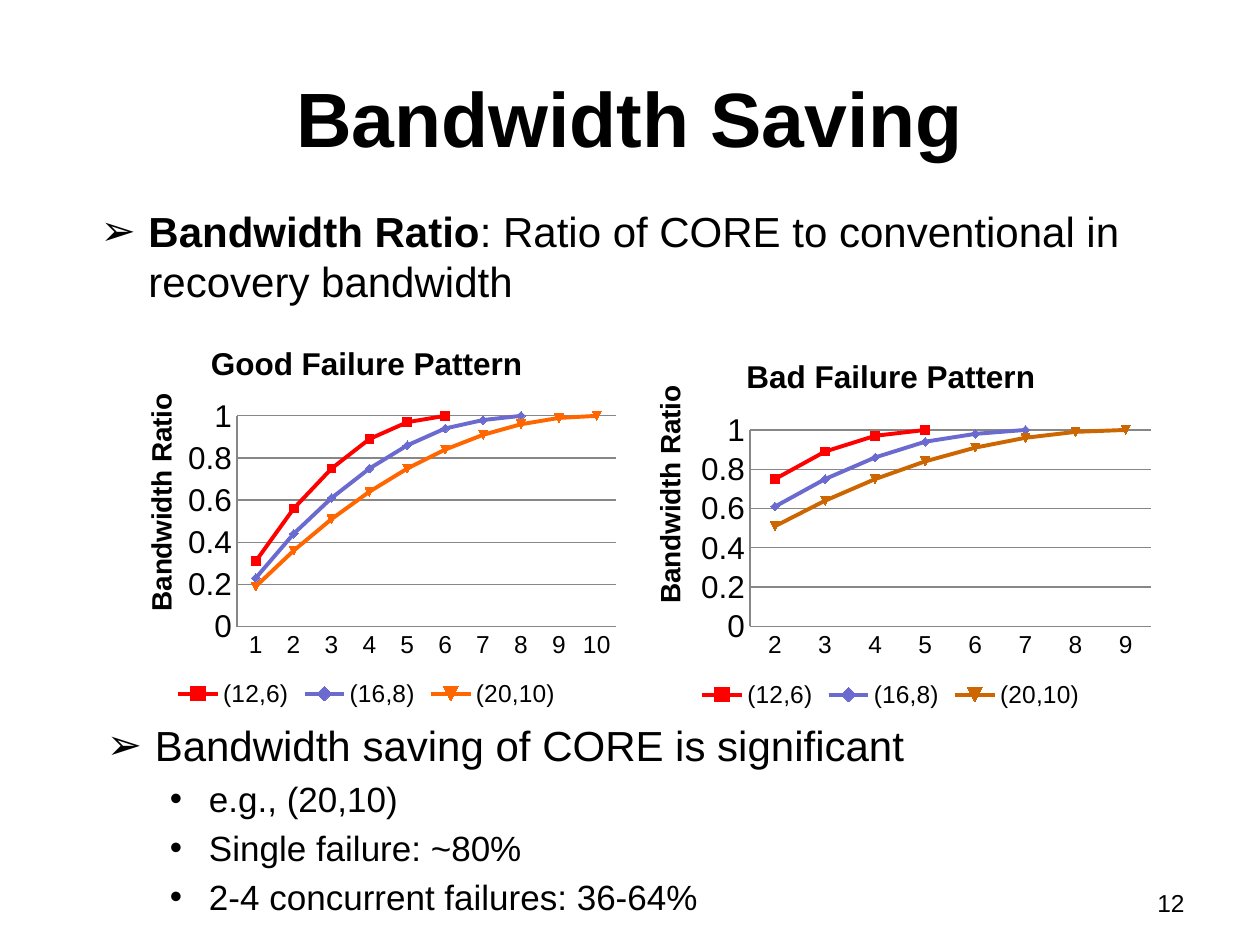
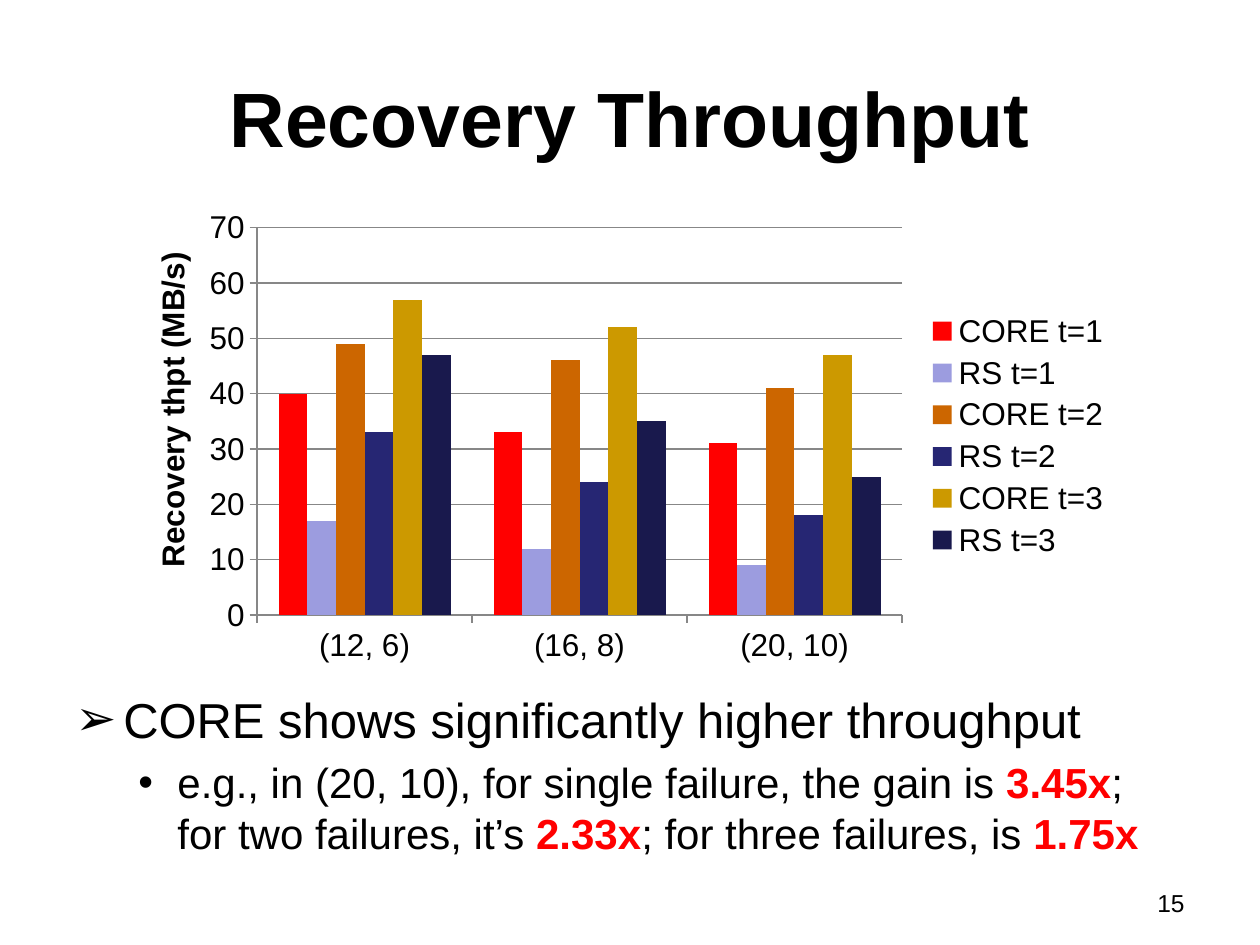
from dataclasses import dataclass

from lxml import etree
from pptx import Presentation
from pptx.chart.data import CategoryChartData
from pptx.dml.color import RGBColor
from pptx.enum.chart import XL_CHART_TYPE, XL_LEGEND_POSITION, XL_TICK_MARK
from pptx.enum.text import MSO_ANCHOR, PP_ALIGN
from pptx.oxml.ns import qn
from pptx.util import Inches, Pt

LINE = XL_CHART_TYPE.LINE_MARKERS
COLUMN = XL_CHART_TYPE.COLUMN_CLUSTERED
BOTTOM, RIGHT = XL_LEGEND_POSITION.BOTTOM, XL_LEGEND_POSITION.RIGHT
NO_TICK, OUTSIDE = XL_TICK_MARK.NONE, XL_TICK_MARK.OUTSIDE
MIDDLE, TOP = MSO_ANCHOR.MIDDLE, MSO_ANCHOR.TOP
CENTER, ALIGN_RIGHT, LEFT = PP_ALIGN.CENTER, PP_ALIGN.RIGHT, PP_ALIGN.LEFT


@dataclass(frozen=True)
class Theme:
    font: str = "Arial"
    text: str = "000000"
    accent: str = "FF0000"
    grid: str = "878787"
    violet: str = "6B6BCF"
    orange: str = "FF6600"
    brown: str = "CC6600"
    lilac: str = "9C9CDF"
    navy: str = "262673"
    gold: str = "CC9900"
    midnight: str = "19194D"
    title: int = 44
    chart: int = 18
    axis_title: int = 16
    small: int = 14
    marker: int = 5
    line: float = 2.25
    hairline: float = 0.75


THEME = Theme()
WIDTH, HEIGHT = 10, 7.5
TITLE_BOX = (0.05, 0.04, 0.9, 1 / 6)
NUMBER_BOX = (0.717, 14 / 15, 0.233, 0.047)

BULLETS = (
    dict(mark="➢", margin=0.38, hang=0.38, before=50),
    dict(mark="•", margin=0.81, hang=0.31, before=20),
)

GOOD = dict(
    kind=LINE, box=(0.085, 0.341, 0.412, 0.413), title="Good Failure Pattern",
    axis="Bandwidth Ratio", axis_at=(0.06, 0.17), plot=(0.25, 0.24, 0.73, 0.54),
    categories=[str(count) for count in range(1, 11)],
    series=[
        ("(12,6)", THEME.accent, [0.31, 0.56, 0.75, 0.89, 0.97, 1]),
        ("(16,8)", THEME.violet, [0.23, 0.44, 0.61, 0.75, 0.86, 0.94, 0.98, 1]),
        ("(20,10)", THEME.orange,
         [0.19, 0.36, 0.51, 0.64, 0.75, 0.84, 0.91, 0.96, 0.99, 1]),
    ],
)
BAD = dict(
    kind=LINE, box=(0.492, 0.355, 0.43, 0.4), title="Bad Failure Pattern",
    axis="Bandwidth Ratio", axis_at=(0.05, 0.12), plot=(0.24, 0.25, 0.74, 0.52),
    categories=[str(count) for count in range(2, 10)],
    series=[
        ("(12,6)", THEME.accent, [0.75, 0.89, 0.97, 1]),
        ("(16,8)", THEME.violet, [0.61, 0.75, 0.86, 0.94, 0.98, 1]),
        ("(20,10)", THEME.brown, [0.51, 0.64, 0.75, 0.84, 0.91, 0.96, 0.99, 1]),
    ],
)
THROUGHPUT = dict(
    kind=COLUMN, box=(0.092, 0.211, 0.8, 0.5), title=None,
    axis="Recovery thpt (MB/s)", axis_at=(0.03, 0.1), plot=(0.14, 0.06, 0.64, 0.82),
    categories=["(12, 6)", "(16, 8)", "(20, 10)"],
    series=[
        ("CORE t=1", THEME.accent, [40, 33, 31]),
        ("RS t=1", THEME.lilac, [17, 12, 9]),
        ("CORE t=2", THEME.brown, [49, 46, 41]),
        ("RS t=2", THEME.navy, [33, 24, 18]),
        ("CORE t=3", THEME.gold, [57, 52, 47]),
        ("RS t=3", THEME.midnight, [47, 35, 25]),
    ],
)

SLIDES = [
    dict(
        title="Bandwidth Saving", number="12", charts=[GOOD, BAD],
        texts=[
            ((0.07, 0.211, 0.862, 0.133), [
                (0, 24, [("Bandwidth Ratio", "bold"),
                         (": Ratio of CORE to conventional in recovery bandwidth", "")]),
            ]),
            ((0.075, 0.755, 0.862, 0.245), [
                (0, 24, [("Bandwidth saving of CORE is significant", "")]),
                (1, 20, [("e.g., (20,10)", "")]),
                (1, 20, [("Single failure: ~80%", "")]),
                (1, 20, [("2-4 concurrent failures: 36-64%", "")]),
            ]),
        ],
    ),
    dict(
        title="Recovery Throughput", number="15", charts=[THROUGHPUT],
        texts=[
            ((0.05, 0.723, 0.881, 0.244), [
                (0, 28, [("CORE shows significantly higher throughput", "")]),
                (1, 24, [("e.g., in (20, 10), for single failure, the gain is ", ""),
                         ("3.45x", "accent"), ("; for two failures, it’s ", ""),
                         ("2.33x", "accent"), ("; for three failures, is ", ""),
                         ("1.75x", "accent")]),
            ]),
        ],
    ),
]


def place(box):
    left, top, width, height = box
    return (Inches(left * WIDTH), Inches(top * HEIGHT),
            Inches(width * WIDTH), Inches(height * HEIGHT))


def style_font(font, size, bold=False, color=THEME.text):
    font.name, font.size, font.bold = THEME.font, Pt(size), bold
    font.color.rgb = RGBColor.from_string(color)


def style_line(line, color, width):
    line.color.rgb = RGBColor.from_string(color)
    line.width = Pt(width)


def add_bullet(paragraph, level):
    rule = BULLETS[level]
    paragraph.level = level
    properties = paragraph._p.get_or_add_pPr()
    properties.set("marL", str(Inches(rule["margin"])))
    properties.set("indent", str(-Inches(rule["hang"])))
    spacing = etree.SubElement(properties, qn("a:spcBef"))
    etree.SubElement(spacing, qn("a:spcPct"), val=str(rule["before"] * 1000))
    etree.SubElement(properties, qn("a:buFont"), typeface=THEME.font)
    etree.SubElement(properties, qn("a:buChar"), char=rule["mark"])


def add_text(slide, box, paragraphs, align=LEFT, anchor=TOP):
    frame = slide.shapes.add_textbox(*place(box)).text_frame
    frame.word_wrap = True
    frame.vertical_anchor = anchor
    for index, (level, size, runs) in enumerate(paragraphs):
        paragraph = frame.add_paragraph() if index else frame.paragraphs[0]
        paragraph.alignment = align
        if level is not None:
            add_bullet(paragraph, level)
        for text, emphasis in runs:
            run = paragraph.add_run()
            run.text = text
            color = THEME.accent if emphasis == "accent" else THEME.text
            style_font(run.font, size, bool(emphasis), color)


def set_layout(parent, index, shares, inner=False):
    layout = parent.find(qn("c:layout"))
    if layout is None:
        layout = etree.Element(qn("c:layout"))
        parent.insert(index, layout)
    manual = etree.SubElement(layout, qn("c:manualLayout"))
    if inner:
        etree.SubElement(manual, qn("c:layoutTarget"), val="inner")
    for name in ("xMode", "yMode"):
        etree.SubElement(manual, qn("c:" + name), val="edge")
    for name, share in zip("xywh", shares):
        etree.SubElement(manual, qn("c:" + name), val=str(share))


def write_title(title, text, size):
    run = title.text_frame.paragraphs[0].add_run()
    run.text = text
    style_font(run.font, size, True)


def style_axes(chart, content, is_line):
    values, categories = chart.value_axis, chart.category_axis
    for axis in (values, categories):
        axis.major_tick_mark = NO_TICK if is_line else OUTSIDE
        axis.minor_tick_mark = NO_TICK
        style_line(axis.format.line, THEME.grid, THEME.hairline)
    style_font(values.tick_labels.font, THEME.chart)
    style_font(categories.tick_labels.font, THEME.small if is_line else THEME.chart)
    values.minimum_scale = 0
    values.maximum_scale = 1 if is_line else 70
    values.major_unit = 0.2 if is_line else 10
    values.has_major_gridlines = True
    style_line(values.major_gridlines.format.line, THEME.grid, THEME.hairline)
    write_title(values.axis_title, content["axis"],
                THEME.axis_title if is_line else THEME.chart)
    title = values.axis_title._element
    body = title.find(".//" + qn("a:bodyPr"))
    body.set("rot", "-5400000")
    body.set("vert", "horz")
    set_layout(title, 1, content["axis_at"])


def add_chart(slide, content):
    is_line = content["kind"] == LINE
    data = CategoryChartData()
    data.categories = content["categories"]
    for name, color, values in content["series"]:
        missing = len(content["categories"]) - len(values)
        data.add_series(name, values + [None] * missing)
    chart = slide.shapes.add_chart(content["kind"], *place(content["box"]), data).chart
    style_font(chart.font, THEME.chart)
    chart.has_title = bool(content["title"])
    if content["title"]:
        write_title(chart.chart_title, content["title"], THEME.chart)
    chart.has_legend = True
    chart.legend.position = BOTTOM if is_line else RIGHT
    chart.legend.include_in_layout = False
    style_font(chart.legend.font, THEME.small if is_line else THEME.chart)
    style_axes(chart, content, is_line)
    plot = chart.plots[0]
    plot.vary_by_categories = False
    if not is_line:
        plot.gap_width, plot.overlap = 150, 0
    for series, (name, color, values) in zip(plot.series, content["series"]):
        formats = [series.format]
        if is_line:
            series.smooth = False
            series.marker.size = THEME.marker
            style_line(series.format.line, color, THEME.line)
            style_line(series.marker.format.line, color, THEME.hairline)
            formats = [series.marker.format]
        for part in formats:
            part.fill.solid()
            part.fill.fore_color.rgb = RGBColor.from_string(color)
    area = chart._chartSpace.find(".//" + qn("c:plotArea"))
    set_layout(area, 0, content["plot"], inner=True)


presentation = Presentation()
presentation.slide_width = Inches(WIDTH)
presentation.slide_height = Inches(HEIGHT)
for content in SLIDES:
    slide = presentation.slides.add_slide(presentation.slide_layouts[6])
    add_text(slide, TITLE_BOX, [(None, THEME.title, [(content["title"], "bold")])],
             CENTER, MIDDLE)
    for chart_content in content["charts"]:
        add_chart(slide, chart_content)
    for box, paragraphs in content["texts"]:
        add_text(slide, box, paragraphs)
    add_text(slide, NUMBER_BOX, [(None, THEME.small, [(content["number"], "")])],
             ALIGN_RIGHT)
presentation.save("out.pptx")
